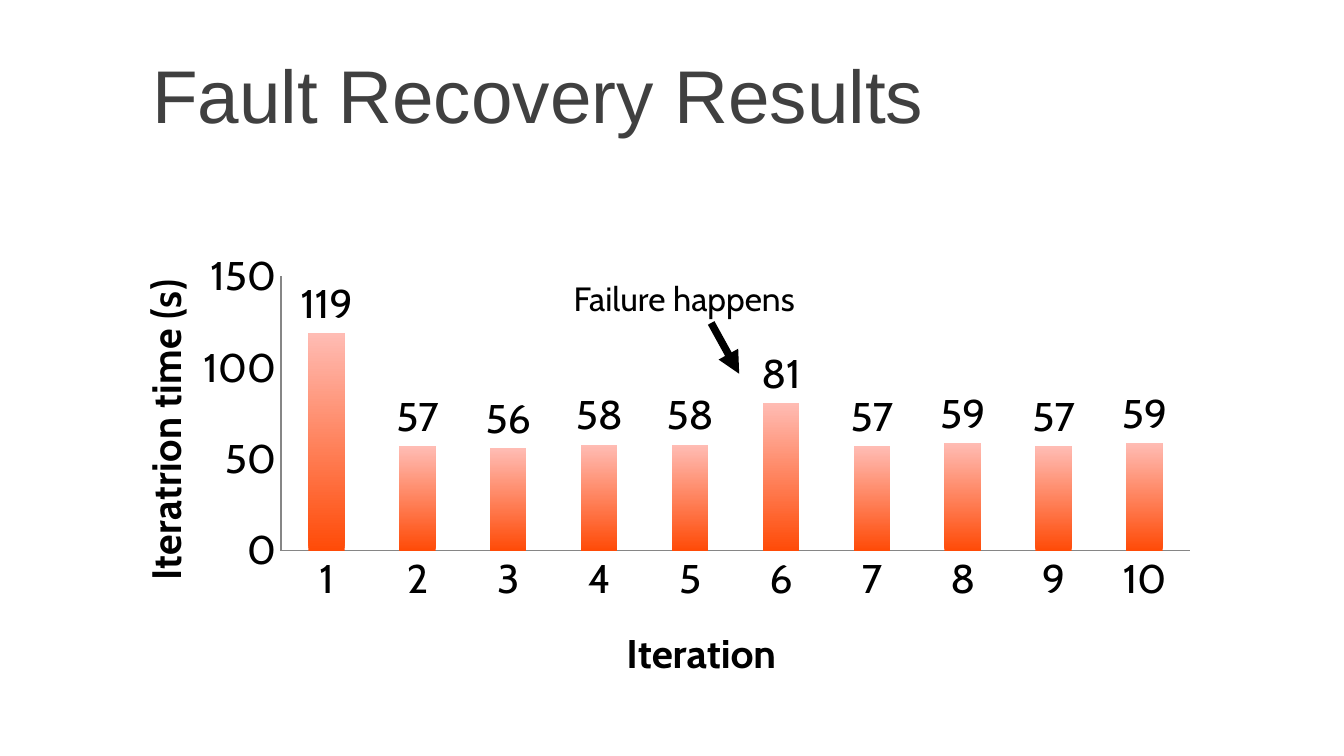
"""Build the Fault Recovery Results slide with its column chart and callout."""
from typing import Any, NamedTuple

from lxml.etree import SubElement
from pptx import Presentation
from pptx.chart.data import CategoryChartData
from pptx.dml.color import RGBColor
from pptx.enum.chart import XL_CHART_TYPE as ChartType
from pptx.enum.chart import XL_LABEL_POSITION as LabelPosition
from pptx.enum.chart import XL_TICK_MARK as TickMark
from pptx.enum.shapes import MSO_CONNECTOR as Connector
from pptx.enum.text import MSO_ANCHOR as Anchor
from pptx.enum.text import MSO_AUTO_SIZE as AutoSize
from pptx.enum.text import PP_ALIGN as Align
from pptx.oxml.ns import qn
from pptx.util import Cm, Pt

COLORS = {
    "title": "404040",
    "text": "000000",
    "axis": "868686",
    "bar_bottom": "FF4B08",
    "bar_top": "FFBCB4",
}
TIMES = (119, 57, 56, 58, 58, 81, 57, 59, 57, 59)


class Area(NamedTuple):
    left: float
    top: float
    width: float
    height: float

    def lengths(self) -> tuple:
        return tuple(Cm(value) for value in self)


class AxisStyle(NamedTuple):
    axis: Any
    title: str
    layout: dict


def color(name: str) -> RGBColor:
    return RGBColor.from_string(COLORS[name])


def apply(target: Any, values: dict) -> None:
    for name, value in values.items():
        setattr(target, name, value)


def style_font(font: Any, face: str, size: float, shade: str, bold: bool = False) -> None:
    apply(font, {"name": face, "size": Pt(size), "bold": bold})
    font.color.rgb = color(shade)


def set_layout(element: Any, values: dict) -> None:
    layout = element.find(qn("c:layout"))
    if layout is None:
        layout = element.makeelement(qn("c:layout"))
        element.insert(0, layout)
    manual = SubElement(layout, qn("c:manualLayout"))
    for tag, value in values.items():
        SubElement(manual, qn(f"c:{tag}")).set("val", str(value))


def add_title(slide: Any, text: str, area: Area) -> None:
    title = slide.shapes.title
    apply(title, dict(zip(("left", "top", "width", "height"), area.lengths())))
    frame = title.text_frame
    apply(frame, {"text": text, "vertical_anchor": Anchor.MIDDLE, "word_wrap": True})
    para = frame.paragraphs[0]
    para.alignment = Align.LEFT
    style_font(para.runs[0].font, "Arial", 40, "title")


def style_axis(style: AxisStyle) -> None:
    axis = style.axis
    apply(axis, {
        "has_major_gridlines": False,
        "major_tick_mark": TickMark.NONE,
        "minor_tick_mark": TickMark.NONE,
    })
    axis.format.line.color.rgb = color("axis")
    frame = axis.axis_title.text_frame
    frame.text = style.title
    style_font(frame.paragraphs[0].runs[0].font, "Cabin", 22, "text", bold=True)
    set_layout(axis.axis_title.element if hasattr(axis.axis_title, "element")
               else axis.axis_title._element, style.layout)


def add_time_chart(slide: Any, area: Area) -> None:
    data = CategoryChartData(number_format="#,##0")
    data.categories = [str(number) for number in range(1, len(TIMES) + 1)]
    data.add_series("Series 1", TIMES)
    chart = slide.shapes.add_chart(ChartType.COLUMN_CLUSTERED, *area.lengths(), data).chart
    apply(chart, {"has_legend": False, "has_title": False})
    style_font(chart.font, "Cabin", 22, "text")

    apply(chart.value_axis, {"minimum_scale": 0, "maximum_scale": 150, "major_unit": 50})
    edges = {"xMode": "edge", "yMode": "edge"}
    style_axis(AxisStyle(chart.category_axis, "Iteration", {**edges, "x": 0.47, "y": 0.87}))
    style_axis(AxisStyle(chart.value_axis, "Iteratrion time (s)",
                         {**edges, "x": 0.05, "y": 0.12}))
    plot_area = chart._chartSpace.find(f".//{qn('c:plotArea')}")
    set_layout(plot_area, {"layoutTarget": "inner", **edges,
                           "x": 0.18, "y": 0.11, "w": 0.78, "h": 0.61})

    plot = chart.plots[0]
    apply(plot, {"gap_width": 150, "vary_by_categories": False, "has_data_labels": True})
    apply(plot.data_labels, {
        "show_value": True,
        "number_format": "#,##0",
        "number_format_is_linked": False,
        "position": LabelPosition.OUTSIDE_END,
    })
    style_font(plot.data_labels.font, "Cabin", 22, "text")
    fill = plot.series[0].format.fill
    fill.gradient()
    fill.gradient_angle = 90
    for stop, position, shade in zip(fill.gradient_stops, (0, 1), ("bar_bottom", "bar_top")):
        stop.position = position
        stop.color.rgb = color(shade)


def add_arrow(slide: Any, start: tuple, end: tuple) -> None:
    points = [Cm(value) for value in (*start, *end)]
    arrow = slide.shapes.add_connector(Connector.STRAIGHT, *points)
    arrow.line.width = Pt(4)
    arrow.line.color.rgb = color("text")
    SubElement(arrow.line._get_or_add_ln(), qn("a:tailEnd")).set("type", "triangle")
    SubElement(arrow._element.spPr, qn("a:effectLst"))


def add_label(slide: Any, text: str, area: Area) -> None:
    frame = slide.shapes.add_textbox(*area.lengths()).text_frame
    apply(frame, {"text": text, "word_wrap": False, "auto_size": AutoSize.SHAPE_TO_FIT_TEXT})
    style_font(frame.paragraphs[0].runs[0].font, "Cabin", 18, "text")


def main() -> None:
    deck = Presentation()
    apply(deck, {"slide_width": Cm(25.4), "slide_height": Cm(14.28)})
    slide = deck.slides.add_slide(deck.slide_layouts[5])
    add_title(slide, "Fault Recovery Results", Area(2.62, 0.58, 19.91, 2.39))
    add_time_chart(slide, Area(1.35, 4.29, 22.02, 8.74))
    add_arrow(slide, (13.44, 6.1), (13.97, 7.06))
    add_label(slide, "Failure happens", Area(10.59, 5.13, 4.7, 1.02))
    deck.save("out.pptx")


if __name__ == "__main__":
    main()
